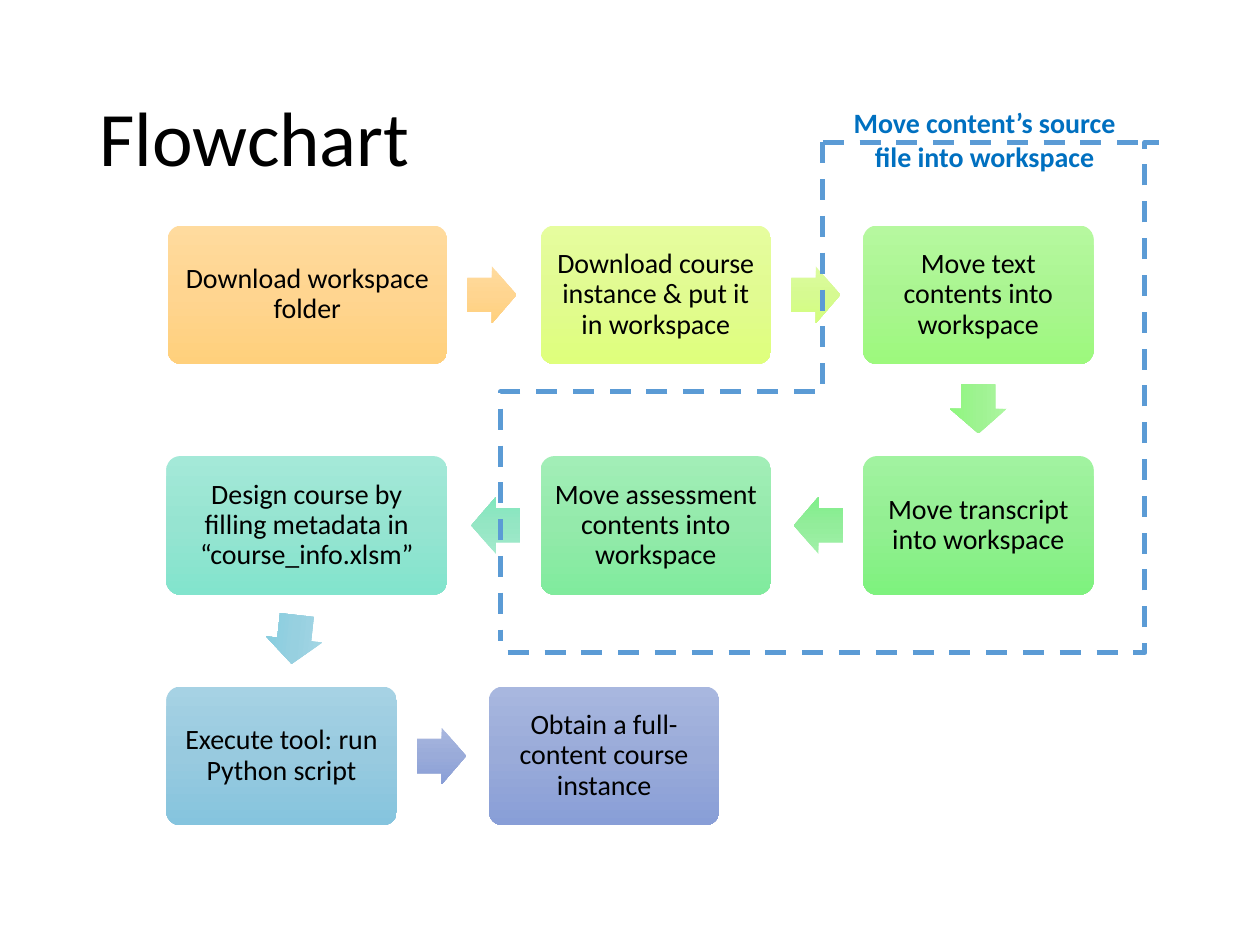
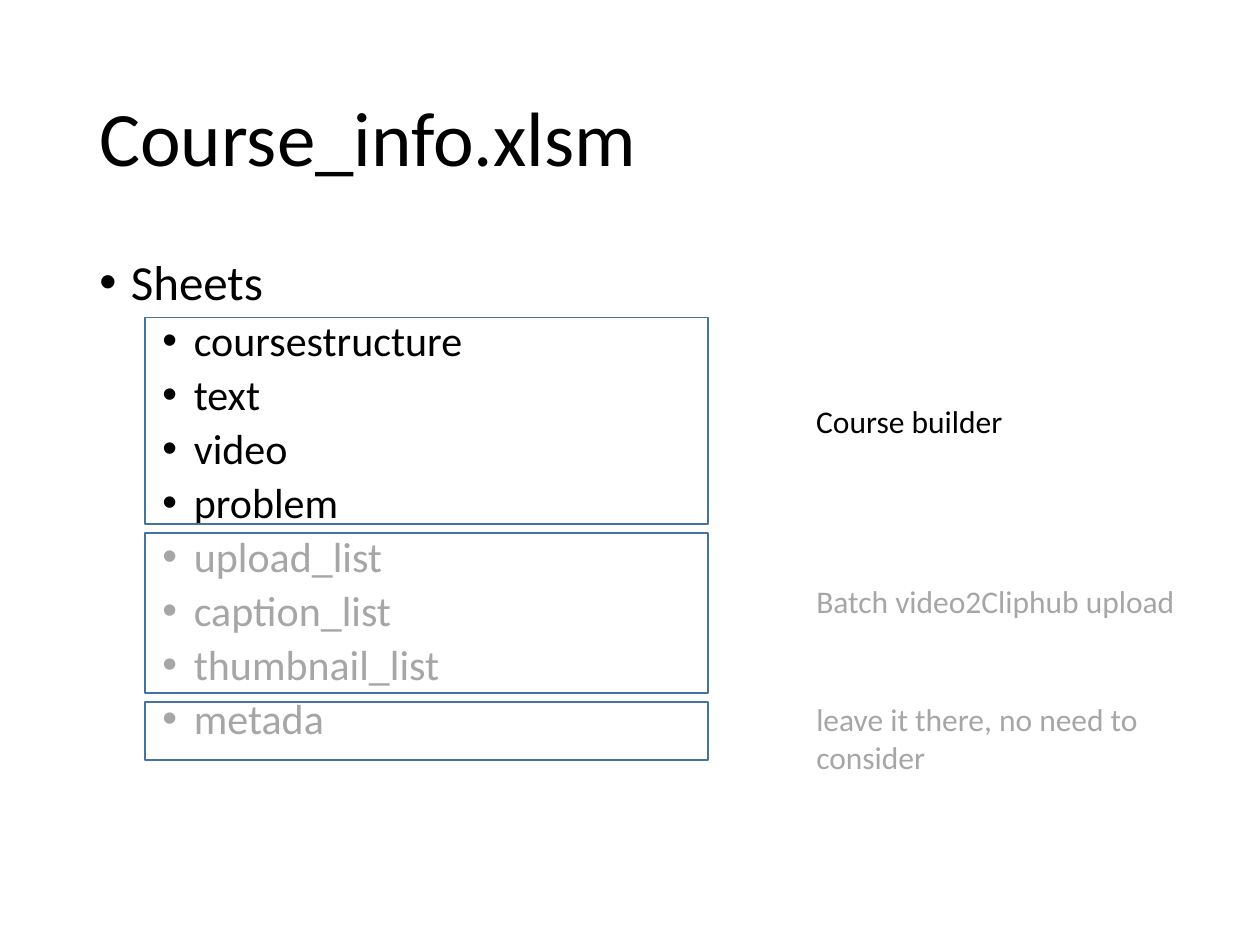
from copy import deepcopy
from dataclasses import dataclass
from itertools import pairwise
from math import atan2, degrees

from lxml.etree import SubElement
from pptx import Presentation
from pptx.dml.color import RGBColor
from pptx.enum.dml import MSO_LINE_DASH_STYLE as Dash
from pptx.enum.shapes import MSO_CONNECTOR_TYPE as Line, MSO_SHAPE as Shape
from pptx.enum.text import MSO_ANCHOR as Anchor, PP_ALIGN as Align
from pptx.oxml.ns import qn
from pptx.util import Inches, Pt


@dataclass(frozen=True)
class Theme:
    """Colours and type sizes shared by the slides."""
    font: str = "Calibri"
    ink: str = "000000"
    muted: str = "A6A6A6"
    label: str = "0070C0"
    dashes: str = "5B9BD5"
    frame: str = "43739E"
    title_size: int = 44
    heading_size: int = 28
    item_size: int = 24
    note_size: int = 18
    step_size: int = 16


THEME = Theme()
TITLE_BOX = (0.69, 0.4, 8.62, 1.45)
FLOW_BOX = (1.32, 1.79, 7.36, 4.76)
BOUNDARY_BOX = (3.97, 1.13, 5.11, 4.05)
LABEL_BOX = (6.53, 0.79, 2.57, 0.64)
LIST_BOX = (0.69, 2, 8.62, 4.76)
STEP_WIDTH, STEP_HEIGHT, ROW_PITCH = 1.83, 1.1, 1.83
ARROW_WIDTH, ARROW_HEIGHT, ARROW_GAP = 0.39, 0.45, 0.16
FRAME_GAP = 0.07

STEPS = [
    ("Download workspace folder", 0.01, 0, 2.22, ("FFDB9E", "FFD590", "FFD07C")),
    ("Download course instance & put it in workspace", 2.97, 0, STEP_WIDTH,
     ("E6FD9E", "E1FB91", "DFFF7C")),
    ("Move text contents into workspace", 5.53, 0, STEP_WIDTH,
     ("B6F89F", "AAF591", "9DF97D")),
    ("Move transcript into workspace", 5.53, 1, STEP_WIDTH,
     ("A1F3A0", "93EF92", "7EF27E")),
    ("Move assessment contents into workspace", 2.97, 1, STEP_WIDTH,
     ("A2EEB7", "94EAAB", "80EB9D")),
    ("Design course by filling metadata in “course_info.xlsm”", 0, 1, 2.23,
     ("A4E9D8", "96E4D1", "82E4CD")),
    ("Execute tool: run Python script", 0, 2, STEP_WIDTH,
     ("A6D2E4", "98CADF", "85C4DE")),
    ("Obtain a full-content course instance", 2.56, 2, STEP_WIDTH,
     ("A8B7DF", "9AABD9", "889ED7")),
]
ARROW_COLOURS = [
    ("FFDB9E", "FFD590", "FFD07C"),
    ("DCFC9F", "D6FA91", "D3FF7C"),
    ("ACF6A0", "9FF392", "8EF77D"),
    ("A1F0A9", "93ED9B", "7FEF89"),
    ("A3EACC", "95E6C4", "81E7BD"),
    ("A5D7E5", "97D0E0", "84CDDF"),
    ("A8B7DF", "9AABD9", "889ED7"),
]
SHEET_GROUPS = [
    (["coursestructure", "text", "video", "problem"], THEME.ink, 1.64),
    (["upload_list", "caption_list", "thumbnail_list"], THEME.muted, 1.27),
    (["metada"], THEME.muted, 0.46),
]
NOTES = [
    ("Course builder", THEME.ink, (6.38, 3.14, 1.7, 0.4), False),
    ("Batch video2Cliphub upload", THEME.muted, (6.38, 4.57, 3.15, 0.4), False),
    ("leave it there, no need to consider", THEME.muted, (6.38, 5.51, 3.15, 0.71), True),
]


def style_paragraph(paragraph, size, colour=THEME.ink, bold=False):
    """Give every run of a paragraph the theme font."""
    for run in paragraph.runs:
        run.font.name = THEME.font
        run.font.size = Pt(size)
        run.font.bold = bold
        run.font.color.rgb = RGBColor.from_string(colour)


def add_text(slide, box, text, size, colour=THEME.ink, bold=False, wrap=True):
    """Add a text box holding one paragraph and return it."""
    shape = slide.shapes.add_textbox(*map(Inches, box))
    shape.text_frame.word_wrap = wrap
    shape.text_frame.text = text
    style_paragraph(shape.text_frame.paragraphs[0], size, colour, bold)
    return shape


def add_title(slide, text):
    """Add the slide title."""
    frame = add_text(slide, TITLE_BOX, text, THEME.title_size).text_frame
    frame.vertical_anchor = Anchor.MIDDLE
    frame.paragraphs[0].line_spacing = 0.9


def add_gradient_shape(slide, kind, box, colours, adjustments):
    """Add a borderless shape shaded from top to bottom."""
    shape = slide.shapes.add_shape(kind, *map(Inches, box))
    shape.shadow.inherit = False
    shape.line.fill.background()
    for index, value in enumerate(adjustments):
        shape.adjustments[index] = value
    shape.fill.gradient()
    shape.fill.gradient_angle = 270
    stop_list = next(shape._element.spPr.iter(qn("a:gsLst")))
    stop_list.insert(1, deepcopy(stop_list[0]))
    for stop, colour, position in zip(shape.fill.gradient_stops, colours, (0, 0.5, 1)):
        stop.color.rgb = RGBColor.from_string(colour)
        stop.position = position
    return shape


def add_step(slide, box, text, colours):
    """Add one rounded step of the flowchart."""
    frame = add_gradient_shape(slide, Shape.ROUNDED_RECTANGLE, box, colours, [0.1]).text_frame
    frame.margin_left = frame.margin_right = Inches(0.07)
    frame.margin_top = frame.margin_bottom = Inches(0.07)
    frame.word_wrap = True
    frame.vertical_anchor = Anchor.MIDDLE
    frame.text = text
    paragraph = frame.paragraphs[0]
    paragraph.alignment = Align.CENTER
    paragraph.line_spacing = 0.9
    style_paragraph(paragraph, THEME.step_size)


def add_step_arrow(slide, source, target, colours):
    """Add the block arrow that points from one step box to the next."""
    source_center, target_center = (box[0] + box[2] / 2 for box in (source, target))
    drop = target[1] - source[1]
    top = source[1] + (STEP_HEIGHT - ARROW_HEIGHT) / 2
    if drop:
        left = (source_center + target_center - ARROW_WIDTH) / 2
        top = source[1] + 1.23
    elif target[0] > source[0]:
        left = source[0] + source[2] + ARROW_GAP
    else:
        left = source[0] - ARROW_GAP - ARROW_WIDTH
    arrow = add_gradient_shape(slide, Shape.RIGHT_ARROW,
                               (left, top, ARROW_WIDTH, ARROW_HEIGHT), colours, [0.6, 0.5])
    arrow.rotation = degrees(atan2(drop, target_center - source_center))


def add_flow(slide, box):
    """Add all steps and the arrows between them."""
    left, top = box[:2]
    step_boxes = [(left + offset, top + row * ROW_PITCH, width, STEP_HEIGHT)
                  for _, offset, row, width, _ in STEPS]
    for step, step_box in zip(STEPS, step_boxes):
        add_step(slide, step_box, step[0], step[-1])
    for (source, target), colours in zip(pairwise(step_boxes), ARROW_COLOURS):
        add_step_arrow(slide, source, target, colours)


def add_dashed_connector(slide, kind, start, end):
    """Add a dashed connector without shadow."""
    connector = slide.shapes.add_connector(kind, *map(Inches, (*start, *end)))
    connector.line.color.rgb = RGBColor.from_string(THEME.dashes)
    connector.line.width = Pt(3)
    connector.line.dash_style = Dash.DASH
    SubElement(connector._element.spPr, qn("a:effectLst"))
    return connector


def add_boundary(slide, box):
    """Add the dashed outline around the steps that move content."""
    left, top, width, height = box
    right, bottom, notch = left + width, top + height, left + 2.56
    center_x, center_y = (left + notch) / 2, top + 1.98
    half_run, half_rise = 1.98, 1.28
    inner = add_dashed_connector(slide, Line.ELBOW,
                                 (center_x - half_run, center_y - half_rise),
                                 (center_x + half_run, center_y + half_rise))
    inner._element.spPr.find(qn("a:xfrm")).set("rot", str(90 * 60000))
    outer = add_dashed_connector(slide, Line.ELBOW, (left + 0.06, bottom), (right + 0.12, top))
    guides = next(outer._element.spPr.iter(qn("a:avLst")))
    SubElement(guides, qn("a:gd"), name="adj1", fmla="val 97800")
    add_dashed_connector(slide, Line.STRAIGHT, (notch, top), (right, top))


def add_bullet(paragraph, indent, space, size, colour):
    """Turn a paragraph into a bulleted one with a hanging indent."""
    paragraph.line_spacing = 0.9
    paragraph.space_before = Pt(space)
    style_paragraph(paragraph, size, colour)
    properties = paragraph._p.get_or_add_pPr()
    properties.set("marL", str(Inches(indent)))
    properties.set("indent", str(Inches(-0.25)))
    SubElement(properties, qn("a:buFont"), typeface="Arial")
    SubElement(properties, qn("a:buChar"), char="•")


def add_sheet_list(slide, box):
    """Add the bulleted sheet names and a frame around each group."""
    shape = add_text(slide, box, "Sheets", THEME.heading_size)
    frame = shape.text_frame
    add_bullet(frame.paragraphs[0], 0.25, 10, THEME.heading_size, THEME.ink)
    left, top = box[0] + 0.46, box[1] + 0.52
    for names, colour, height in SHEET_GROUPS:
        for name in names:
            paragraph = frame.add_paragraph()
            paragraph.text = name
            paragraph.level = 1
            add_bullet(paragraph, 0.75, 5, THEME.item_size, colour)
        outline = slide.shapes.add_shape(Shape.RECTANGLE, *map(Inches, (left, top, 4.47, height)))
        outline.shadow.inherit = False
        outline.fill.background()
        outline.line.color.rgb = RGBColor.from_string(THEME.frame)
        outline.line.width = Pt(1)
        top += height + FRAME_GAP


def build_flowchart_slide(slide):
    """Build the flowchart slide."""
    add_title(slide, "Flowchart")
    add_flow(slide, FLOW_BOX)
    add_boundary(slide, BOUNDARY_BOX)
    label = add_text(slide, LABEL_BOX, "Move content’s source file into workspace",
                     THEME.step_size, THEME.label, bold=True)
    label.text_frame.paragraphs[0].alignment = Align.CENTER


def build_sheets_slide(slide):
    """Build the slide that lists the workbook sheets."""
    add_title(slide, "Course_info.xlsm")
    add_sheet_list(slide, LIST_BOX)
    for text, colour, box, wrap in NOTES:
        add_text(slide, box, text, THEME.note_size, colour, wrap=wrap)


def main():
    """Build and save the presentation."""
    presentation = Presentation()
    presentation.slide_width, presentation.slide_height = Inches(10), Inches(7.5)
    for build in (build_flowchart_slide, build_sheets_slide):
        build(presentation.slides.add_slide(presentation.slide_layouts[6]))
    presentation.save("out.pptx")


if __name__ == "__main__":
    main()
